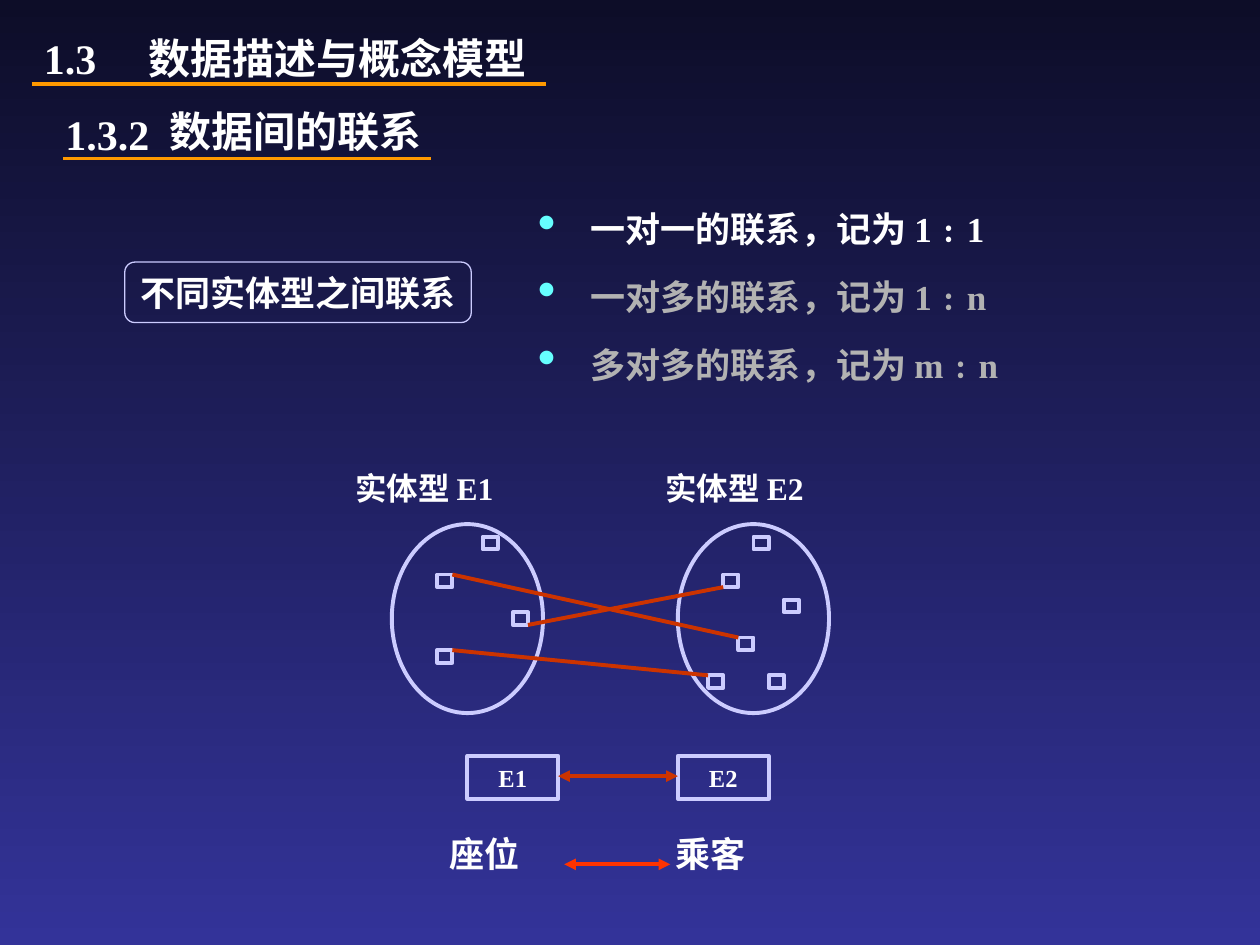
from dataclasses import dataclass

from lxml.etree import SubElement
from pptx import Presentation
from pptx.dml.color import RGBColor
from pptx.enum.shapes import MSO_CONNECTOR, MSO_SHAPE
from pptx.enum.text import MSO_ANCHOR, MSO_AUTO_SIZE, PP_ALIGN
from pptx.oxml.ns import qn
from pptx.util import Inches, Pt


@dataclass(frozen=True)
class Theme:
    top: str = "0D0D28"
    bottom: str = "333399"
    text: str = "FFFFFF"
    muted: str = "B2B2B2"
    bullet: str = "66FFFF"
    rule: str = "FF9900"
    outline: str = "CCCCFF"
    link: str = "CC3300"
    example: str = "FF3300"
    latin: str = "Times New Roman"
    cjk: str = "Noto Sans CJK SC"
    heading: int = 24
    body: int = 20
    label: int = 18
    small: int = 14
    thin: float = 0.75
    medium: float = 1.5
    thick: float = 2.25


THEME = Theme()

# Diagram grid: each entity set is an oval of 10 columns by 15 rows
COLUMN, ROW = 0.12, 0.1
TOP = 4.16
LEFT_SET, RIGHT_SET = 3.11, 5.38
LEFT_MEMBERS = [(6, 1), (3, 4), (8, 7), (3, 10)]
RIGHT_MEMBERS = [(5, 1), (3, 4), (7, 6), (4, 9), (2, 12), (6, 12)]
LINKS = [((4, 4), (4, 9)), ((9, 8), (3, 5)), ((4, 10), (2, 12))]


def color(value):
    return RGBColor.from_string(value)


def cell(left, column, row):
    """Turn a column and row of an entity set into inches on the slide."""
    return left + column * COLUMN, TOP + row * ROW


def style(para, size, tone=THEME.text):
    font = para.font
    font.size = Pt(size)
    font.bold = True
    font.color.rgb = color(tone)
    font.name = THEME.latin
    defaults = para._p.pPr.find(qn("a:defRPr"))
    SubElement(defaults, qn("a:ea"), typeface=THEME.cjk)


def add_tab(para, position):
    tabs = SubElement(para._p.get_or_add_pPr(), qn("a:tabLst"))
    SubElement(tabs, qn("a:tab"), pos=str(Inches(position)), algn="l")


def add_bullet(para, indent):
    props = para._p.get_or_add_pPr()
    props.set("marL", str(Inches(indent)))
    props.set("indent", str(-Inches(indent)))
    tint = SubElement(props, qn("a:buClr"))
    SubElement(tint, qn("a:srgbClr"), val=THEME.bullet)
    SubElement(props, qn("a:buSzPct"), val="150000")
    SubElement(props, qn("a:buChar"), char="•")


def add_text(page, place, text, size, wrap=True, tab=None):
    box = page.shapes.add_textbox(*map(Inches, place))
    frame = box.text_frame
    frame.word_wrap = wrap
    frame.auto_size = MSO_AUTO_SIZE.SHAPE_TO_FIT_TEXT
    para = frame.paragraphs[0]
    para.text = text
    if tab:
        add_tab(para, tab)
    style(para, size)


def add_outline(page, kind, place, width=THEME.thick, text="", size=THEME.small):
    shape = page.shapes.add_shape(kind, *map(Inches, place))
    shape.shadow.inherit = False
    shape.fill.background()
    shape.line.color.rgb = color(THEME.outline)
    shape.line.width = Pt(width)
    if text:
        frame = shape.text_frame
        frame.word_wrap = False
        frame.vertical_anchor = MSO_ANCHOR.MIDDLE
        para = frame.paragraphs[0]
        para.text = text
        para.alignment = PP_ALIGN.CENTER
        style(para, size)


def add_line(page, start, end, tone, width=THEME.thick, arrows=False):
    line = page.shapes.add_connector(
        MSO_CONNECTOR.STRAIGHT, *map(Inches, (*start, *end)))
    line.line.color.rgb = color(tone)
    line.line.width = Pt(width)
    if arrows:
        for tip in ("a:headEnd", "a:tailEnd"):
            SubElement(line.line._get_or_add_ln(), qn(tip), type="triangle")
    SubElement(line._element.spPr, qn("a:effectLst"))


def add_relations(page):
    box = page.shapes.add_textbox(*map(Inches, (4.17, 1.5, 4.17, 1.61)))
    frame = box.text_frame
    frame.word_wrap = True
    items = [("一对一的联系，记为 1﹕1", THEME.text),
             ("一对多的联系，记为 1﹕n", THEME.muted),
             ("多对多的联系，记为 m﹕n", THEME.muted)]
    for index, (text, tone) in enumerate(items):
        para = frame.add_paragraph() if index else frame.paragraphs[0]
        para.text = text
        add_bullet(para, 0.42)
        para.line_spacing = 1.3
        if index:
            para.space_before = Pt(7.5)
        style(para, THEME.body, tone)


def add_entity_set(page, left, members, title, title_column):
    add_text(page, (*cell(left, title_column, -4.9), 1.36, 0.4),
             title, THEME.label, wrap=False)
    add_outline(page, MSO_SHAPE.OVAL, (left, TOP, 10 * COLUMN, 15 * ROW))
    for member in members:
        add_outline(page, MSO_SHAPE.RECTANGLE, (*cell(left, *member), COLUMN, ROW))


def add_type(page, left, column, name):
    add_outline(page, MSO_SHAPE.RECTANGLE,
                (*cell(left, column, 18.4), 6 * COLUMN, 0.34), text=name)


def main():
    deck = Presentation()
    deck.slide_width, deck.slide_height = Inches(10), Inches(7.5)
    page = deck.slides.add_slide(deck.slide_layouts[6])

    # Background
    fill = page.background.fill
    fill.gradient()
    fill.gradient_angle = 270
    for stop, tone in zip(fill.gradient_stops, (THEME.top, THEME.bottom)):
        stop.color.rgb = color(tone)

    # Headings
    add_text(page, (0.25, 0.21, 4.25, 0.5), "1.3\t数据描述与概念模型",
             THEME.heading, tab=0.83)
    add_line(page, (0.25, 0.67), (4.33, 0.67), THEME.rule)
    add_text(page, (0.42, 0.81, 3.33, 0.5), "1.3.2", THEME.heading)
    add_text(page, (1.25, 0.79, 3.78, 0.5), "数据间的联系", THEME.heading)
    add_line(page, (0.5, 1.26), (3.42, 1.26), THEME.rule, THEME.medium)

    # Kinds of relation
    add_outline(page, MSO_SHAPE.FLOWCHART_ALTERNATE_PROCESS,
                (0.99, 2.08, 2.75, 0.48), THEME.thin, "不同实体型之间联系", THEME.body)
    add_relations(page)

    # Entity sets and the links between members
    add_entity_set(page, LEFT_SET, LEFT_MEMBERS, "实体型 E1", -3.25)
    add_entity_set(page, RIGHT_SET, RIGHT_MEMBERS, "实体型 E2", -1.65)
    for start, end in LINKS:
        add_line(page, cell(LEFT_SET, *start), cell(RIGHT_SET, *end), THEME.link)

    # Entity types
    add_type(page, LEFT_SET, 5, "E1")
    add_type(page, RIGHT_SET, 0, "E2")
    add_line(page, cell(LEFT_SET, 11, 20), cell(RIGHT_SET, 0, 20),
             THEME.link, arrows=True)

    # Example
    for left, column, name in ((LEFT_SET, 3, "座位"), (RIGHT_SET, -1, "乘客")):
        add_text(page, (*cell(left, column, 24), 0.76, 0.44),
                 name, THEME.body, wrap=False)
    add_line(page, cell(LEFT_SET, 11.4, 27), cell(RIGHT_SET, -0.5, 27),
             THEME.example, arrows=True)

    deck.save("out.pptx")


if __name__ == "__main__":
    main()
